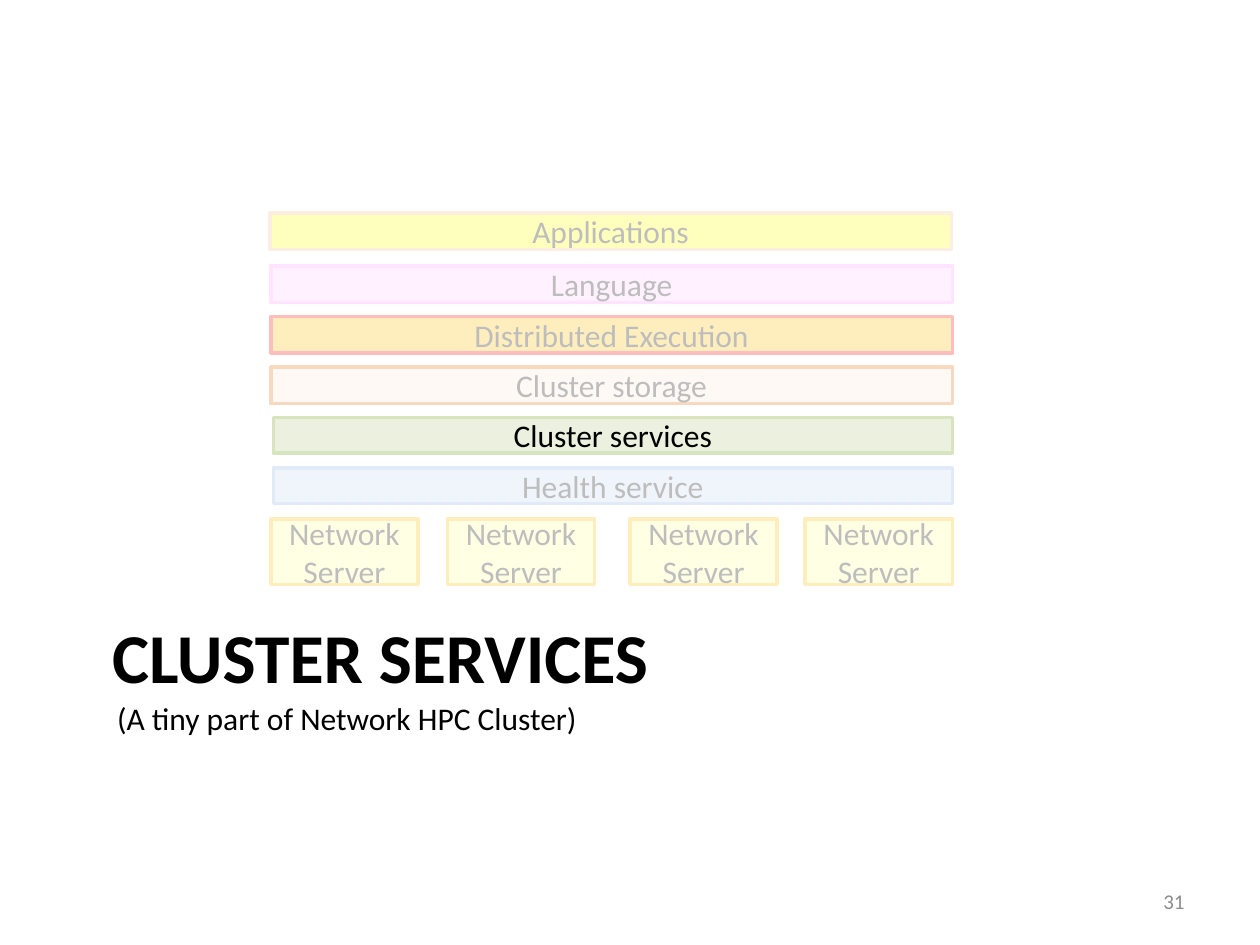
"""Build the cluster services section slide with its layered software stack."""
from pptx import Presentation
from pptx.dml.color import RGBColor
from pptx.enum.shapes import MSO_SHAPE as Shape
from pptx.enum.text import MSO_ANCHOR as Anchor, PP_ALIGN as Align
from pptx.oxml.ns import qn
from pptx.util import Cm, Pt
from lxml import etree

FONT = "Calibri"
BLACK, WHITE = "000000", "FFFFFF"
RIGHT_EDGE = 19.2
LAYER_TOP, LAYER_STEP = 5.36, 1.02

TOP_LAYER = ("Applications", 5.44, 4.29, 13.74, 0.74, "FFFF00", "FAC090")
LAYERS = [
    ("Language", 5.46, 0.74, "FFCCFF", "FF99FF"),
    ("Distributed Execution", 5.46, 0.74, "FFC000", "FF0000"),
    ("Cluster storage", 5.46, 0.74, "FDEADA", "E46C0A"),
    ("Cluster services", 5.51, 0.71, "EBF1DE", "D7E4BD"),
    ("Health service", 5.51, 0.71, "C6D9F1", "8EB4E3"),
]
SERVER_LEFTS = [5.46, 9.02, 12.7, 16.23]
SERVER = ("Network Server", 2.97, 1.32, "FFFF99", "FFC000")
VEILS = [(4.93, 3.81, 14.96, 4.52), (5.41, 9.27, 14.96, 2.79)]
VEIL_OPACITY = 74
TEXTS = [
    ("CLUSTER SERVICES", (2.01, 12.24, 21.59, 3.78), 40, BLACK, True, Align.LEFT, Anchor.TOP, True),
    ("(A tiny part of Network HPC Cluster)", (2.11, 13.97, 10.08, 1.02), 18, BLACK, False,
     Align.LEFT, Anchor.TOP, False),
    ("31", (18.21, 17.65, 5.92, 1.02), 12, "8C8C8C", False, Align.RIGHT, Anchor.MIDDLE, True),
]


def color(value):
    return RGBColor.from_string(value)


def write(box, text, size, ink, bold, align, anchor, wrap=True):
    frame = box.text_frame
    frame.word_wrap = wrap
    frame.vertical_anchor = anchor
    para = frame.paragraphs[0]
    para.alignment = align
    span = para.add_run()
    span.text = text
    span.font.name = FONT
    span.font.size = Pt(size)
    span.font.bold = bold
    span.font.color.rgb = color(ink)


def add_rectangle(page, place, fill):
    box = page.shapes.add_shape(Shape.RECTANGLE, *map(Cm, place))
    box.shadow.inherit = False
    box.fill.solid()
    box.fill.fore_color.rgb = color(fill)
    return box


def add_layer(page, text, left, top, width, height, fill, outline):
    box = add_rectangle(page, (left, top, width, height), fill)
    box.line.color.rgb = color(outline)
    box.line.width = Pt(2)
    write(box, text, 18, BLACK, False, Align.CENTER, Anchor.MIDDLE)


def add_veil(page, place):
    veil = add_rectangle(page, place, WHITE)
    veil.line.fill.background()
    tint = veil.fill._xPr.find(qn("a:solidFill"))[0]
    etree.SubElement(tint, qn("a:alpha")).set("val", str(VEIL_OPACITY * 1000))


def main():
    deck = Presentation()
    deck.slide_width, deck.slide_height = Cm(25.4), Cm(19.05)
    page = deck.slides.add_slide(deck.slide_layouts[6])

    add_layer(page, *TOP_LAYER)
    for row, (text, left, height, fill, outline) in enumerate(LAYERS):
        top = LAYER_TOP + row * LAYER_STEP
        add_layer(page, text, left, top, RIGHT_EDGE - left, height, fill, outline)

    server_top = LAYER_TOP + len(LAYERS) * LAYER_STEP
    text, *look = SERVER
    for left in SERVER_LEFTS:
        add_layer(page, text, left, server_top, *look)

    for place in VEILS:
        add_veil(page, place)
    for text, place, *style in TEXTS:
        write(page.shapes.add_textbox(*map(Cm, place)), text, *style)

    deck.save("out.pptx")


if __name__ == "__main__":
    main()
